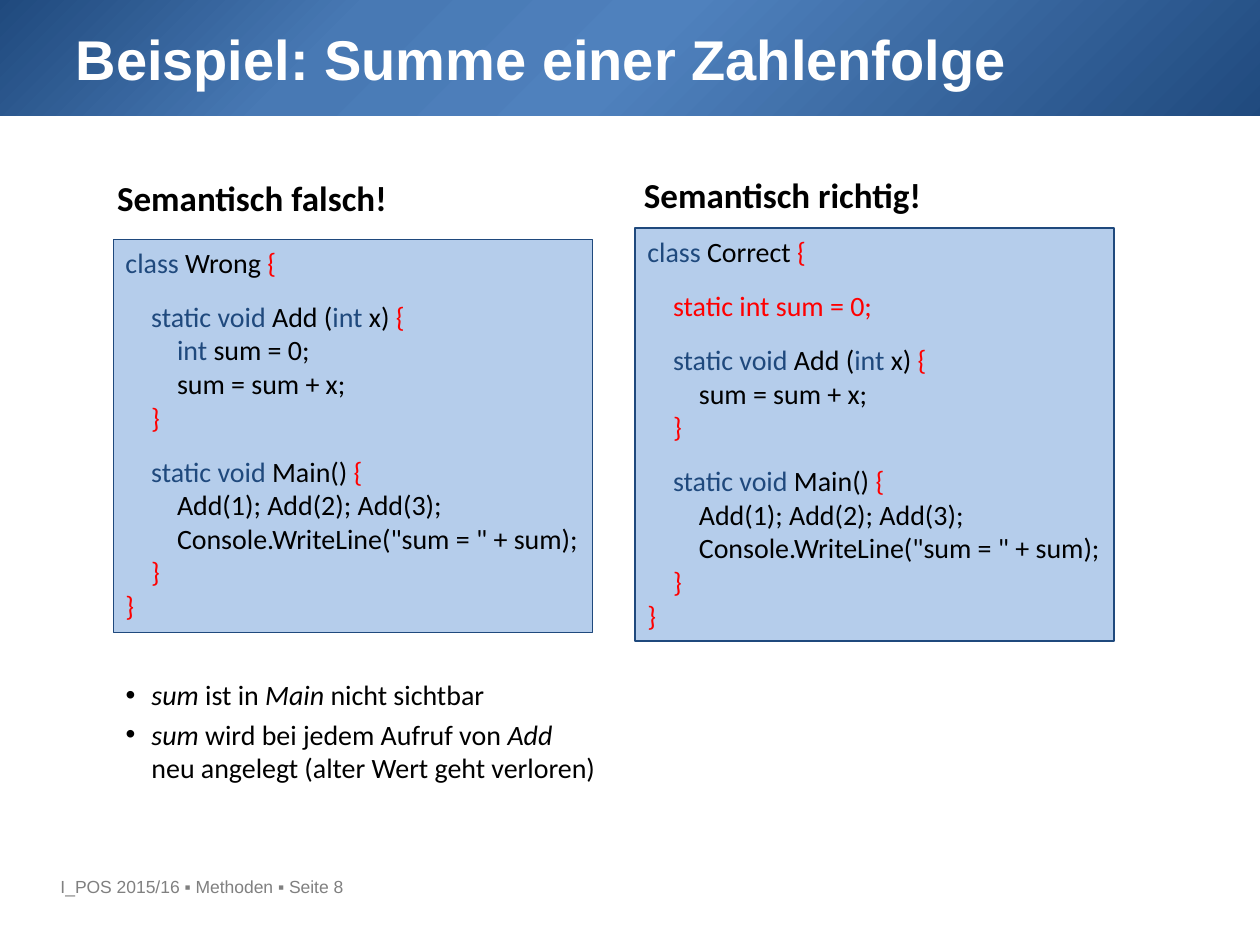
from dataclasses import dataclass
from typing import NamedTuple

from lxml.etree import SubElement
from pptx import Presentation
from pptx.dml.color import RGBColor
from pptx.enum.shapes import MSO_SHAPE
from pptx.enum.text import MSO_ANCHOR, MSO_AUTO_SIZE, PP_ALIGN
from pptx.oxml.ns import qn
from pptx.util import Cm, Pt

BLUE, RED, BLACK, WHITE = "1F497D", "FF0000", "000000", "FFFFFF"
INDENT = Cm(0.52)


class Span(NamedTuple):
    text: str
    color: str = BLACK


class CodeLine(NamedTuple):
    level: int
    spans: tuple[Span, ...]
    gap: float = 0  # points above the line


@dataclass
class Listing:
    heading: str
    heading_at: tuple[float, float]
    box: tuple[float, float, float, float]
    border: float
    lines: list[CodeLine]


GAP = 11.7
OPEN, CLOSE = Span("{", RED), Span("}", RED)
ADD_HEAD = CodeLine(1, (Span("static void", BLUE), Span(" Add ("), Span("int", BLUE),
                        Span(" x) "), OPEN), GAP)
ADD_SUM = CodeLine(2, (Span("sum = sum + x;"),))
END_METHOD = CodeLine(1, (CLOSE,))
MAIN_METHOD = [
    CodeLine(1, (Span("static void", BLUE), Span(" Main() "), OPEN), GAP),
    CodeLine(2, (Span("Add(1); Add(2); Add(3);"),)),
    CodeLine(2, (Span('Console.WriteLine("sum = " + sum);'),)),
    END_METHOD,
    CodeLine(0, (CLOSE,)),
]


def class_line(name: str) -> CodeLine:
    return CodeLine(0, (Span("class ", BLUE), Span(f"{name} "), OPEN))


LISTINGS = [
    Listing("Semantisch falsch!", (2.11, 3.43), (2.28, 4.82, 9.66, 7.93), 0.5,
            [class_line("Wrong"), ADD_HEAD,
             CodeLine(2, (Span("int ", BLUE), Span("sum = 0;"))),
             ADD_SUM, END_METHOD, *MAIN_METHOD]),
    Listing("Semantisch richtig!", (12.73, 3.38), (12.8, 4.6, 9.66, 8.33), 1,
            [class_line("Correct"),
             CodeLine(1, (Span("static int sum = 0;", RED),), GAP),
             ADD_HEAD, ADD_SUM, END_METHOD, *MAIN_METHOD]),
]


def rgb(color: str) -> RGBColor:
    return RGBColor.from_string(color)


def set_font(font, name: str, size: float, color: str, bold: bool = False) -> None:
    font.name, font.size, font.bold = name, Pt(size), bold
    font.color.rgb = rgb(color)


def place(shape, left: float, top: float, width: float, height: float) -> None:
    shape.left, shape.top = Cm(left), Cm(top)
    shape.width, shape.height = Cm(width), Cm(height)


def add_rectangle(page, box: tuple[float, float, float, float]):
    shape = page.shapes.add_shape(MSO_SHAPE.RECTANGLE, *map(Cm, box))
    shape.shadow.inherit = False
    return shape


def add_header_bar(page) -> None:
    bar = add_rectangle(page, (-0.03, -0.03, 25.7, 2.36))
    bar.line.fill.background()
    bar.fill.gradient()
    gradient = bar._element.spPr.find(qn("a:gradFill"))
    for child in list(gradient):
        gradient.remove(child)
    stops = SubElement(gradient, qn("a:gsLst"))
    for percent, color in ((0, BLUE), (27, "4879B4"), (50, "4F81BD"), (100, BLUE)):
        stop = SubElement(stops, qn("a:gs"), pos=str(percent * 1000))
        SubElement(stop, qn("a:srgbClr"), val=color)
    SubElement(gradient, qn("a:lin"), ang="2700000", scaled="0")
    page.shapes._spTree.insert(2, bar._element)  # behind the title


def add_label(page, text: str, box: tuple[float, float, float, float],
              font: str, size: float, color: str, bold: bool = False) -> None:
    label = page.shapes.add_textbox(*map(Cm, box))
    label.text_frame.word_wrap = True
    para = label.text_frame.paragraphs[0]
    para.text = text
    set_font(para.font, font, size, color, bold)


def add_listing(page, listing: Listing) -> None:
    add_label(page, listing.heading, (*listing.heading_at, 6.4, 1.12),
              "Calibri", 20, BLACK, bold=True)
    panel = add_rectangle(page, listing.box)
    panel.fill.solid()
    panel.fill.fore_color.rgb = rgb("B5CDEB")
    panel.line.color.rgb = rgb(BLUE)
    panel.line.width = Pt(listing.border)
    frame = panel.text_frame
    frame.word_wrap = False
    frame.vertical_anchor = MSO_ANCHOR.TOP
    for index, line in enumerate(listing.lines):
        para = frame.paragraphs[0] if index == 0 else frame.add_paragraph()
        para.alignment = PP_ALIGN.LEFT
        para.space_before = Pt(line.gap)
        para._p.get_or_add_pPr().set("marL", str(line.level * INDENT))
        for text, color in line.spans:
            span = para.add_run()
            span.text = text
            set_font(span.font, "Calibri", 16, color)


def fill_remarks(body) -> None:
    """Write the bulleted remarks, with identifiers in italics."""
    remarks = [
        [("sum", True), (" ist in ", False), ("Main", True), (" nicht sichtbar", False)],
        [("sum", True), (" wird bei jedem Aufruf von ", False), ("Add", True),
         ("\n", False), ("neu angelegt (alter Wert geht verloren)", False)],
    ]
    place(body, 2.28, 13.54, 9.98, 3.12)
    frame = body.text_frame
    frame.auto_size = MSO_AUTO_SIZE.NONE
    for index, remark in enumerate(remarks):
        para = frame.paragraphs[0] if index == 0 else frame.add_paragraph()
        para.space_before = Pt(3.2 if index else 0)
        properties = para._p.get_or_add_pPr()
        properties.set("marL", str(INDENT))
        properties.set("indent", str(-INDENT))
        SubElement(properties, qn("a:buFont"), typeface="Arial")
        SubElement(properties, qn("a:buChar"), char="•")
        set_font(para.font, "Calibri", 16, BLACK)
        for text, italic in remark:
            if text == "\n":
                para.add_line_break()
                continue
            span = para.add_run()
            span.text = text
            set_font(span.font, "Calibri", 16, BLACK)
            span.font.italic = italic


def main() -> None:
    deck = Presentation()
    deck.slide_width, deck.slide_height = Cm(25.4), Cm(19.05)
    page = deck.slides.add_slide(deck.slide_layouts[1])

    title = page.shapes.title
    place(title, 1.27, 0.36, 22.86, 3.18)
    title.text_frame.text = "Beispiel: Summe einer Zahlenfolge"
    title.text_frame.auto_size = MSO_AUTO_SIZE.NONE
    title.text_frame.vertical_anchor = MSO_ANCHOR.TOP
    title_para = title.text_frame.paragraphs[0]
    title_para.alignment = PP_ALIGN.LEFT
    set_font(title_para.font, "Arial", 32, WHITE, bold=True)

    add_header_bar(page)
    fill_remarks(page.placeholders[1])
    for listing in LISTINGS:
        add_listing(page, listing)
    add_label(page, "I_POS 2015/16 ▪ Methoden ▪ Seite 8", (0.97, 17.53, 9.53, 0.84),
              "Arial", 10, "808080")
    deck.save("out.pptx")


if __name__ == "__main__":
    main()
